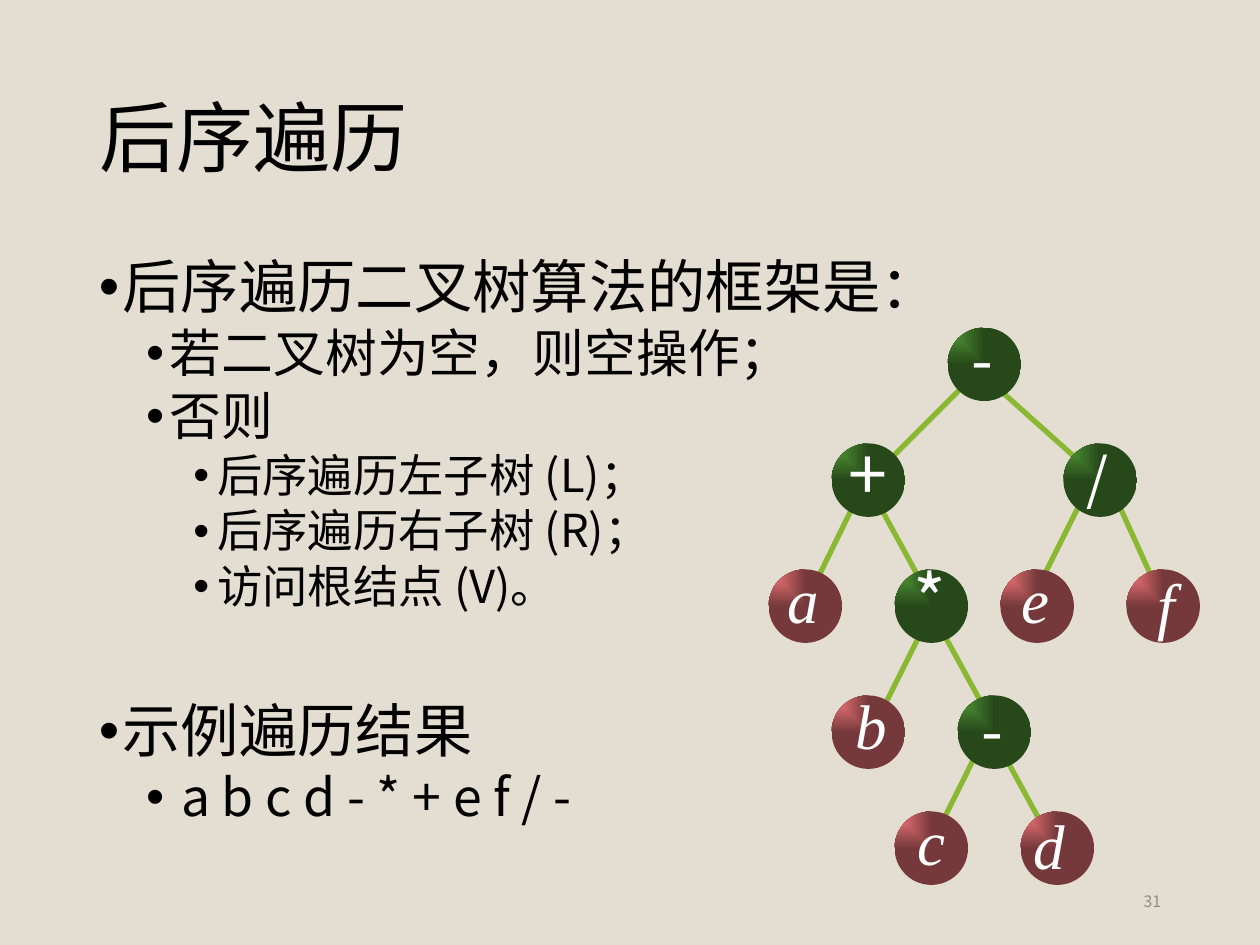
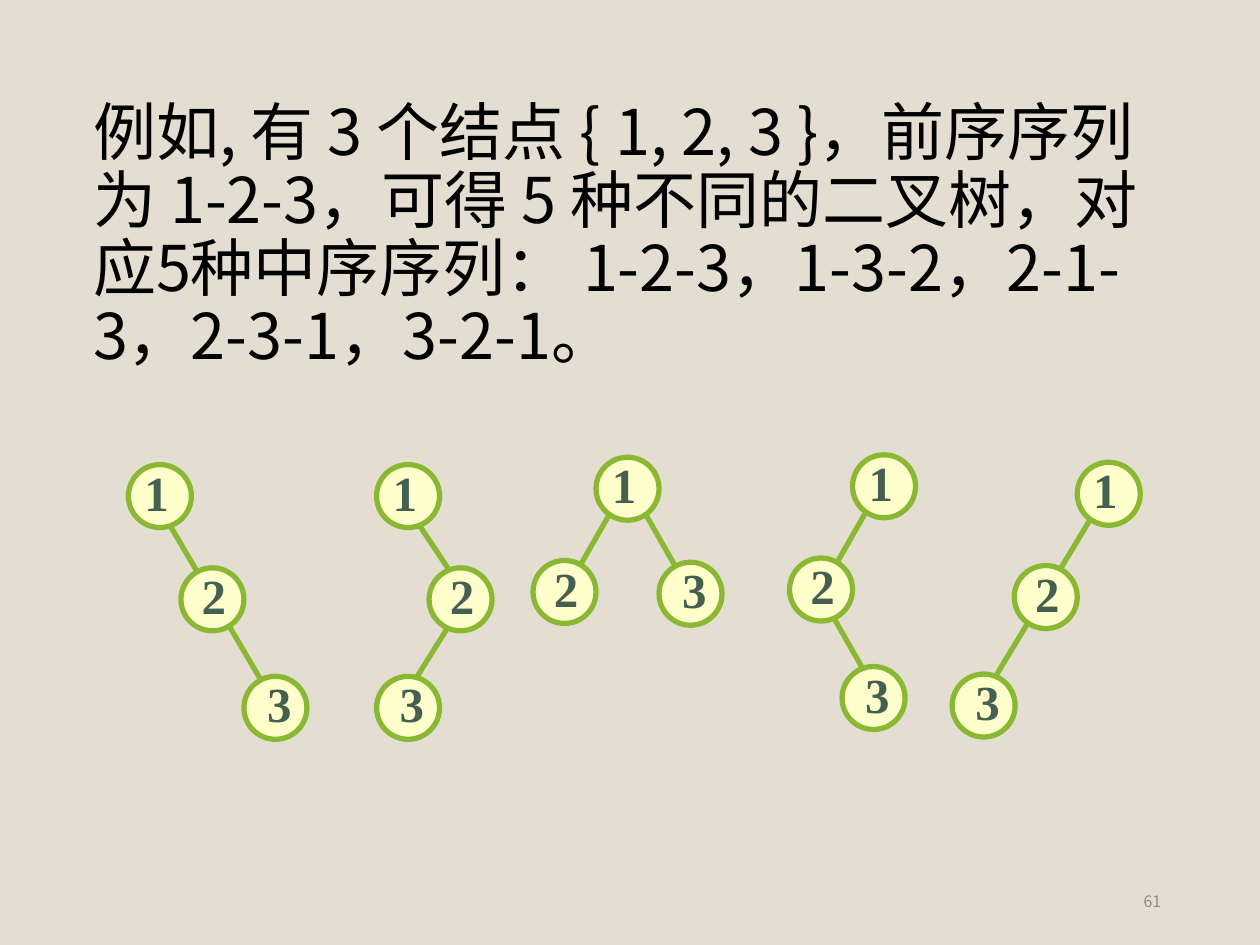
from lxml.etree import SubElement
from pptx import Presentation
from pptx.dml.color import RGBColor
from pptx.enum.shapes import MSO_CONNECTOR, MSO_SHAPE
from pptx.enum.text import MSO_ANCHOR, MSO_AUTO_SIZE, PP_ALIGN
from pptx.oxml.ns import qn
from pptx.util import Pt

SAND = RGBColor(0xE3, 0xDE, 0xD1)
BLACK = RGBColor(0, 0, 0)
WHITE = RGBColor(0xFF, 0xFF, 0xFF)
GREY = RGBColor(0x8C, 0x8C, 0x8C)
LIME = RGBColor(0x8A, 0xB8, 0x33)
CREAM = RGBColor(0xFF, 0xFF, 0xCC)
SLATE = RGBColor(0x45, 0x5F, 0x51)
OPERATOR_COLOURS = (RGBColor(0x54, 0x9E, 0x39), RGBColor(0x27, 0x49, 0x1A))
OPERAND_COLOURS = (RGBColor(0xFF, 0x7C, 0x80), RGBColor(0x76, 0x39, 0x3B))

SANS = "Noto Sans CJK SC"
SERIF = "Times New Roman"

# Per outline level: text size, space before, left margin
LEVELS = ((33.3, 7.5, 13.5), (29.6, 3.8, 40.5), (25.9, 3.8, 67.5))
HANGING = 13.5
EMPTY_LINE = 43.5

OUTLINE = (
    (0, "后序遍历二叉树算法的框架是："),
    (1, "若二叉树为空，则空操作；"),
    (1, "否则"),
    (2, "后序遍历左子树 (L)；"),
    (2, "后序遍历右子树 (R)；"),
    (2, "访问根结点 (V)。"),
)
RESULT_HEADING = "示例遍历结果"
RESULT = "a b c d - * + e f / -"

OPERATOR_SIZES = {"-": 36, "/": 32, "+": 40, "*": 40}
EXPRESSION_DISC = 42
# Symbol, disc left and top, label left and top, label width
EXPRESSION_NODES = (
    ("-", 541.5, 187.2, 545, 179.3, 32.4),
    ("+", 475.2, 253.4, 478, 242.6, 34.6),
    ("/", 607.7, 253.4, 612, 249.8, 30.2),
    ("a", 439.2, 325.4, 442.8, 316.8, 32.4),
    ("*", 511.2, 325.4, 514, 314.6, 34.6),
    ("e", 571.7, 325.4, 576.7, 316.8, 30.2),
    ("f", 643.7, 325.4, 653, 319.7, 26.6),
    ("b", 475.2, 397.4, 481.7, 388.8, 32.4),
    ("-", 547.2, 397.4, 550.8, 391.7, 32.4),
    ("c", 511.2, 463.7, 517, 455, 30.2),
    ("d", 583.2, 463.7, 583.2, 457.2, 32.4),
)
EXPRESSION_EDGES = (
    (553.7, 217.4, 505.4, 265.7), (565.2, 217.4, 619.2, 265.7),
    (487.4, 289.4, 463.7, 337.7), (499.7, 283.7, 529.2, 337.7),
    (619.2, 283.7, 595.4, 331.2), (637.2, 283.7, 661.7, 337.7),
    (529.2, 355.7, 505.4, 403.2), (535.7, 355.7, 565.2, 409.7),
    (559.4, 427.7, 535.7, 475.2), (571.7, 427.7, 601.2, 481.7),
)

NUMBER_DISC = 36
NUMBER_LABEL_SHIFTS = {"1": 1.7, "2": 4.5, "3": 5.8}
# Root left and top, then discs 2 and 3 and the edges, all relative to the root
NUMBER_TREES = (
    ((73.4, 265.5), ((30, 59), (66, 121)), ((18, 25, 78, 127),)),
    ((215.2, 265.5), ((30, 59), (0, 121)),
     ((18, 25, 54, 79), (42, 91, 12, 139))),
    ((340.6, 261.3), ((-36, 59), (36, 60)),
     ((24, 25, 48, 67), (12, 25, -12, 67))),
    ((487.2, 259.9), ((-36, 59), (-6, 121)),
     ((12, 25, -12, 67), (-12, 91, 12, 133))),
    ((615.6, 264.2), ((-36, 59), (-71.5, 121)), ((12, 25, -48, 124.5),)),
)
NUMBER_STATEMENT = (
    "例如, 有 3 个结点 { 1, 2, 3 }，前序序列为 1-2-3，可得 5 种不同的二叉树，"
    "对应5种中序序列： 1-2-3，1-3-2，2-1-3，2-3-1，3-2-1。"
)


def style_paragraph(para, size, colour, face=SANS, bold=False, italic=False):
    font = para.font
    font.name, font.size = face, Pt(size)
    font.bold, font.italic = bold, italic
    font.color.rgb = colour
    defaults = para._p.pPr.find(qn("a:defRPr"))
    SubElement(defaults, qn("a:ea")).set("typeface", face)


def add_box(shapes, left, top, width, height, anchor=MSO_ANCHOR.TOP, wrap=True):
    box = shapes.add_textbox(Pt(left), Pt(top), Pt(width), Pt(height))
    frame = box.text_frame
    frame.word_wrap = wrap
    frame.vertical_anchor = anchor
    return frame


def add_label(shapes, text, left, top, width, size, colour, **style):
    """Centre one symbol in a box as high as its line."""
    frame = add_box(shapes, left, top, width, size * 1.2 + 7.2,
                    MSO_ANCHOR.MIDDLE, wrap=False)
    para = frame.paragraphs[0]
    para.text = text
    para.alignment = PP_ALIGN.CENTER
    style_paragraph(para, size, colour, **style)


def add_edge(shapes, start_x, start_y, end_x, end_y):
    edge = shapes.add_connector(MSO_CONNECTOR.STRAIGHT, Pt(start_x), Pt(start_y),
                                Pt(end_x), Pt(end_y))
    edge.line.color.rgb = LIME
    edge.line.width = Pt(3)
    SubElement(edge._element.spPr, qn("a:effectLst"))


def add_disc(shapes, left, top, diameter):
    disc = shapes.add_shape(MSO_SHAPE.OVAL, Pt(left), Pt(top),
                            Pt(diameter), Pt(diameter))
    disc.shadow.inherit = False
    return disc


def shade_from_corner(disc, colours):
    """Fill with a gradient that spreads from the top left corner."""
    disc.fill.gradient()
    for stop, colour, position in zip(disc.fill.gradient_stops, colours, (0, 1)):
        stop.color.rgb = colour
        stop.position = position
    gradient = disc._element.spPr.find(qn("a:gradFill"))
    gradient.remove(gradient.find(qn("a:lin")))
    spread = SubElement(gradient, qn("a:path"))
    spread.set("path", "rect")
    focus = SubElement(spread, qn("a:fillToRect"))
    focus.set("r", "100000")
    focus.set("b", "100000")
    disc.line.fill.background()


def add_expression_tree(page):
    shapes = page.shapes.add_group_shape().shapes
    for edge in EXPRESSION_EDGES:
        add_edge(shapes, *edge)
    for symbol, left, top, label_left, label_top, label_width in EXPRESSION_NODES:
        operator = symbol in OPERATOR_SIZES
        disc = add_disc(shapes, left, top, EXPRESSION_DISC)
        shade_from_corner(disc, OPERATOR_COLOURS if operator else OPERAND_COLOURS)
        add_label(shapes, symbol, label_left, label_top, label_width,
                  OPERATOR_SIZES.get(symbol, 36), WHITE,
                  face=SANS if operator else SERIF, italic=not operator)


def add_number_tree(page, root, children, edges):
    root_left, root_top = root
    for start_x, start_y, end_x, end_y in edges:
        add_edge(page.shapes, root_left + start_x, root_top + start_y,
                 root_left + end_x, root_top + end_y)
    for number, (right, down) in zip("123", ((0, 0), *children)):
        left, top = root_left + right, root_top + down
        disc = add_disc(page.shapes, left, top, NUMBER_DISC)
        disc.fill.solid()
        disc.fill.fore_color.rgb = CREAM
        disc.line.color.rgb = LIME
        disc.line.width = Pt(3)
        add_label(page.shapes, number, left + NUMBER_LABEL_SHIFTS[number], top - 5,
                  28.8, 28, SLATE, face=SERIF, bold=True)


def add_bullet(frame, level, text, extra_space=0, extra_hanging=0):
    size, space, margin = LEVELS[level]
    first = not frame.text
    para = frame.paragraphs[0] if first else frame.add_paragraph()
    para.text = text
    para.level = level
    para.line_spacing = 0.9
    para.space_before = Pt(0 if first else space + extra_space)
    properties = para._p.get_or_add_pPr()
    properties.set("marL", str(Pt(margin + extra_hanging)))
    properties.set("indent", str(-Pt(HANGING + extra_hanging)))
    SubElement(properties, qn("a:buFont")).set("typeface", "Arial")
    SubElement(properties, qn("a:buChar")).set("char", "•")
    style_paragraph(para, size, BLACK)


def add_outline(page):
    frame = add_box(page.shapes, 49.5, 144, 621, 342.7)
    for level, text in OUTLINE:
        add_bullet(frame, level, text)
    add_bullet(frame, 0, RESULT_HEADING, extra_space=EMPTY_LINE)
    add_bullet(frame, 1, RESULT, extra_hanging=6.5)


def set_title(page, text):
    title = page.shapes.title
    title.left, title.top, title.width, title.height = map(Pt, (49.5, 28.8, 621, 104.4))
    frame = title.text_frame
    frame.auto_size = MSO_AUTO_SIZE.NONE
    frame.vertical_anchor = MSO_ANCHOR.MIDDLE
    para = frame.paragraphs[0]
    para.text = text
    para.alignment = PP_ALIGN.LEFT
    para.line_spacing = 0.9
    style_paragraph(para, 44, BLACK)


def add_statement(page, text):
    para = add_box(page.shapes, 46.1, 54, 621, 172).paragraphs[0]
    para.text = text
    para.line_spacing = 0.9
    style_paragraph(para, 36, BLACK)


def add_page_number(page, number):
    frame = add_box(page.shapes, 508.5, 500.5, 162, 28.8, MSO_ANCHOR.MIDDLE)
    para = frame.paragraphs[0]
    para.text = str(number)
    para.alignment = PP_ALIGN.RIGHT
    style_paragraph(para, 9, GREY)


def main():
    deck = Presentation()
    deck.slide_width, deck.slide_height = Pt(720), Pt(540)
    background = deck.slide_master.background.fill
    background.solid()
    background.fore_color.rgb = SAND
    title_only, blank = deck.slide_layouts[5], deck.slide_layouts[6]

    page = deck.slides.add_slide(title_only)
    set_title(page, "后序遍历")
    add_expression_tree(page)
    add_outline(page)
    add_page_number(page, 31)

    page = deck.slides.add_slide(blank)
    for tree in NUMBER_TREES:
        add_number_tree(page, *tree)
    add_statement(page, NUMBER_STATEMENT)
    add_page_number(page, 61)

    deck.save("out.pptx")


if __name__ == "__main__":
    main()
